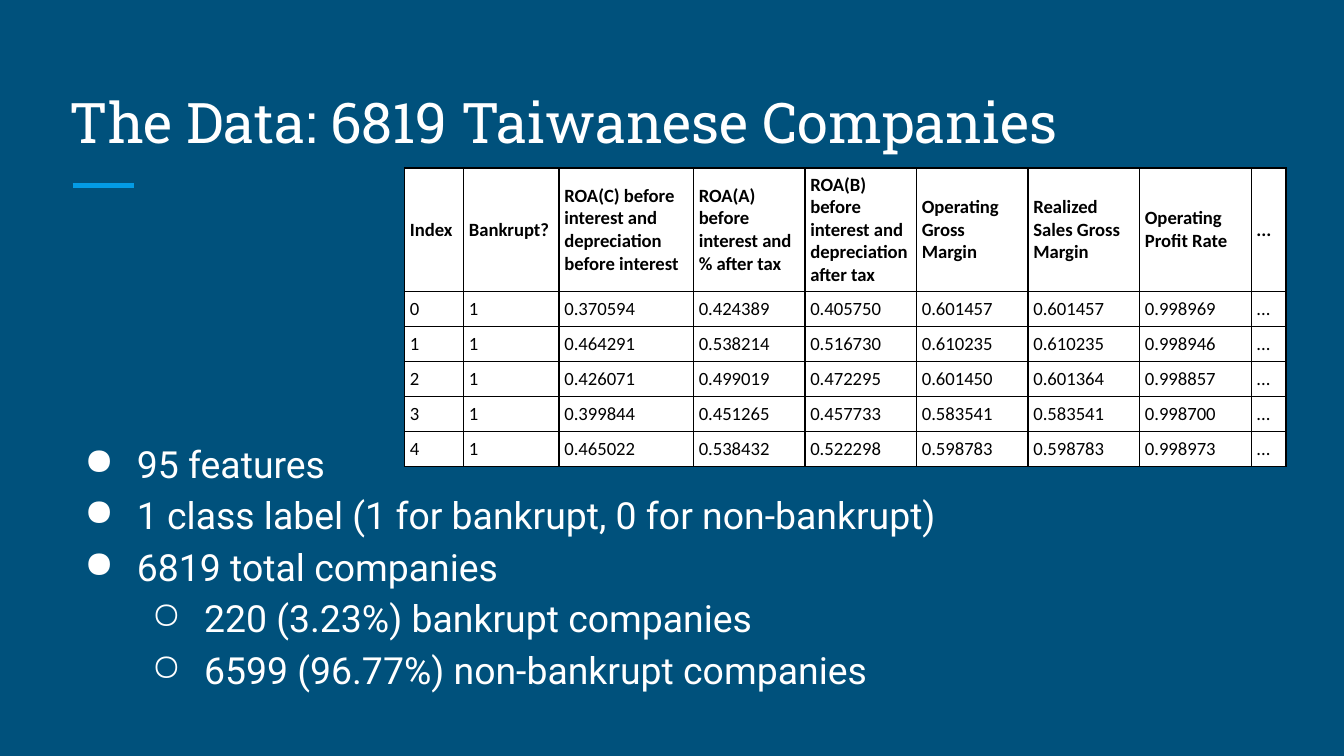
from lxml.etree import SubElement
from pptx import Presentation
from pptx.dml.color import RGBColor
from pptx.enum.shapes import MSO_CONNECTOR
from pptx.enum.text import MSO_ANCHOR
from pptx.oxml.ns import qn
from pptx.util import Inches, Pt

COLORS = {"background": "00517C", "accent": "039BE5", "light": "FFFFFF", "dark": "000000"}

# Content
TITLE = "The Data: 6819 Taiwanese Companies"
FACTS = [
    (0, "95 features"),
    (0, "1 class label (1 for bankrupt, 0 for non-bankrupt)"),
    (0, "6819 total companies"),
    (1, "220 (3.23%) bankrupt companies"),
    (1, "6599 (96.77%) non-bankrupt companies"),
]
BULLETS = "●○"
COLUMNS = [
    ("Index", 0.44),
    ("Bankrupt?", 0.71),
    ("ROA(C) before interest and depreciation before interest", 1),
    ("ROA(A) before interest and % after tax", 0.83),
    ("ROA(B) before interest and depreciation after tax", 0.83),
    ("Operating Gross Margin", 0.83),
    ("Realized Sales Gross Margin", 0.83),
    ("Operating Profit Rate", 0.83),
    ("...", 0.26),
]
COMPANIES = [
    ("0", "1", "0.370594", "0.424389", "0.405750", "0.601457", "0.601457", "0.998969", "..."),
    ("1", "1", "0.464291", "0.538214", "0.516730", "0.610235", "0.610235", "0.998946", "..."),
    ("2", "1", "0.426071", "0.499019", "0.472295", "0.601450", "0.601364", "0.998857", "..."),
    ("3", "1", "0.399844", "0.451265", "0.457733", "0.583541", "0.583541", "0.998700", "..."),
    ("4", "1", "0.465022", "0.538432", "0.522298", "0.598783", "0.598783", "0.998973", "..."),
]
HEADER_HEIGHT, ROW_HEIGHT = 0.92, 0.26


def rgb(name):
    return RGBColor.from_string(COLORS[name])


def add_run(paragraph, text, font, size, color, bold=False):
    run = paragraph.add_run()
    run.text = text
    run.font.name = font
    run.font.size = Pt(size)
    run.font.bold = bold
    run.font.color.rgb = rgb(color)


def add_text_frame(slide, left, top, width, height, anchor):
    box = slide.shapes.add_textbox(Inches(left), Inches(top), Inches(width), Inches(height))
    frame = box.text_frame
    frame.word_wrap = True
    frame.vertical_anchor = anchor
    frame.margin_left = frame.margin_right = Inches(0.1)
    frame.margin_top = frame.margin_bottom = Inches(0.1)
    return frame


def add_bullet(paragraph, level):
    paragraph.level = level
    paragraph.line_spacing = 1.15
    properties = paragraph._p.get_or_add_pPr()
    properties.set("marL", str(Inches(0.5 * (level + 1))))
    properties.set("indent", str(Inches(-0.39)))
    bullet_color = SubElement(properties, qn("a:buClr"))
    SubElement(bullet_color, qn("a:srgbClr"), val=COLORS["light"])
    SubElement(properties, qn("a:buChar"), char=BULLETS[level])


def add_borders(cell):
    properties = cell._tc.get_or_add_tcPr()
    for side in ("lnL", "lnR", "lnT", "lnB"):
        border = SubElement(properties, qn(f"a:{side}"), w=str(Pt(0.75)))
        fill = SubElement(border, qn("a:solidFill"))
        SubElement(fill, qn("a:srgbClr"), val=COLORS["dark"])


def fill_cell(cell, text, bold):
    add_borders(cell)
    cell.fill.solid()
    cell.fill.fore_color.rgb = rgb("light")
    cell.vertical_anchor = MSO_ANCHOR.MIDDLE
    cell.margin_left = cell.margin_right = Inches(0.04)
    cell.margin_top = cell.margin_bottom = Inches(0.04)
    add_run(cell.text_frame.paragraphs[0], text, "Calibri", 10, "dark", bold)


def main():
    prs = Presentation()
    prs.slide_width = Inches(10)
    prs.slide_height = prs.slide_width * 9 // 16
    slide = prs.slides.add_slide(prs.slide_layouts[6])
    slide.background.fill.solid()
    slide.background.fill.fore_color.rgb = rgb("background")

    # Accent line under the title
    accent = slide.shapes.add_connector(
        MSO_CONNECTOR.STRAIGHT, Inches(0.54), Inches(1.38), Inches(1), Inches(1.38))
    accent.line.color.rgb = rgb("accent")
    accent.line.width = Pt(3)
    SubElement(accent._element.spPr, qn("a:effectLst"))

    # Title
    title = add_text_frame(slide, 0.42, 0.5, 9.15, 0.75, MSO_ANCHOR.BOTTOM)
    add_run(title.paragraphs[0], TITLE, "Roboto Slab", 30, "light")

    # Facts about the data
    facts = add_text_frame(slide, 0.42, 3.13, 8.45, 2.29, MSO_ANCHOR.TOP)
    for i, (level, fact) in enumerate(FACTS):
        paragraph = facts.add_paragraph() if i else facts.paragraphs[0]
        add_bullet(paragraph, level)
        add_run(paragraph, fact, "Roboto", 20, "light")

    # Sample of the data
    rows = [[name for name, _ in COLUMNS], *COMPANIES]
    heights = [HEADER_HEIGHT] + [ROW_HEIGHT] * len(COMPANIES)
    sample = slide.shapes.add_table(
        len(rows), len(COLUMNS), Inches(3.01), Inches(1.25),
        Inches(sum(width for _, width in COLUMNS)), Inches(sum(heights))).table
    for column, (_, width) in zip(sample.columns, COLUMNS):
        column.width = Inches(width)
    for r, (values, height) in enumerate(zip(rows, heights)):
        sample.rows[r].height = Inches(height)
        for c, value in enumerate(values):
            fill_cell(sample.cell(r, c), value, bold=r == 0)

    prs.save("out.pptx")


if __name__ == "__main__":
    main()
